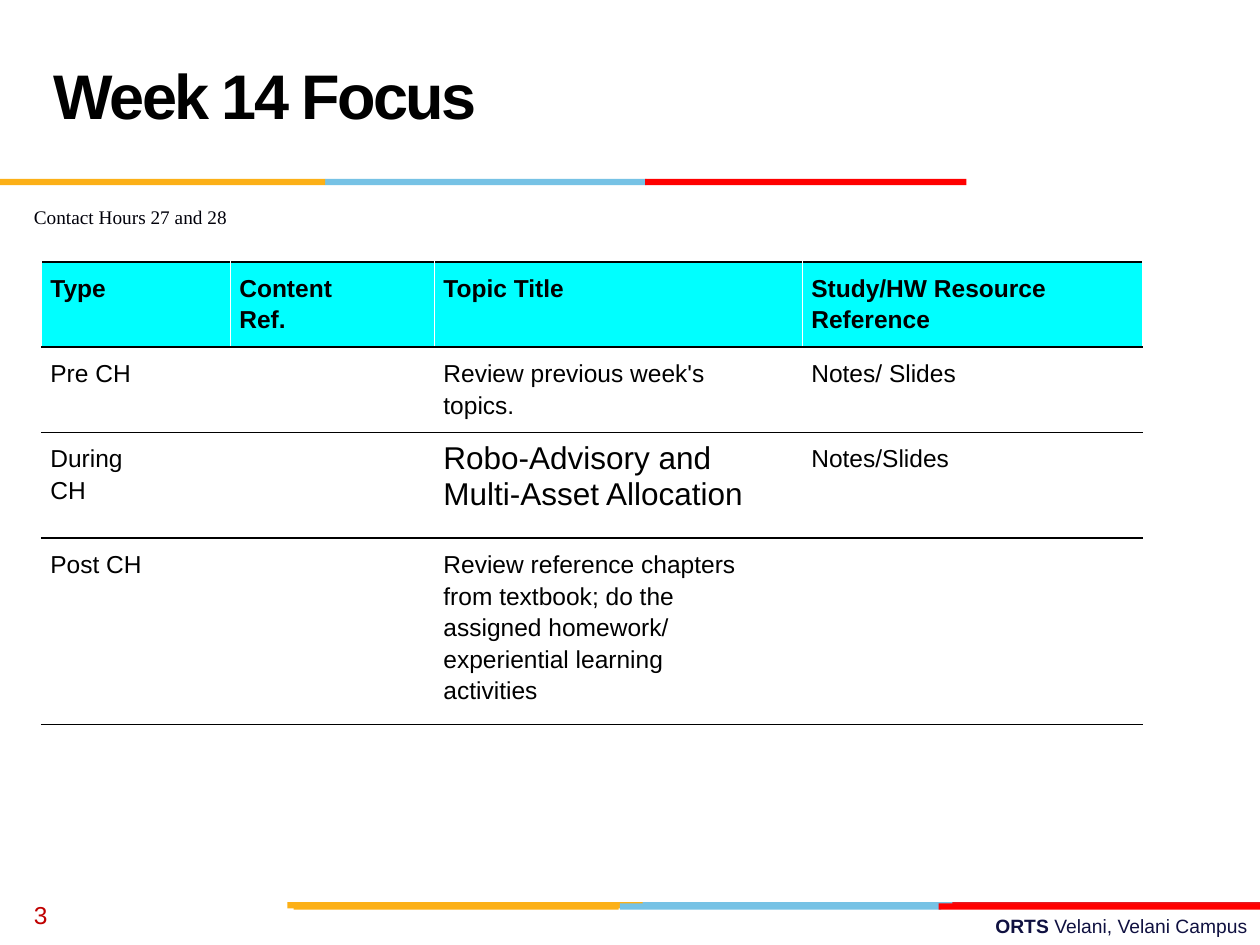
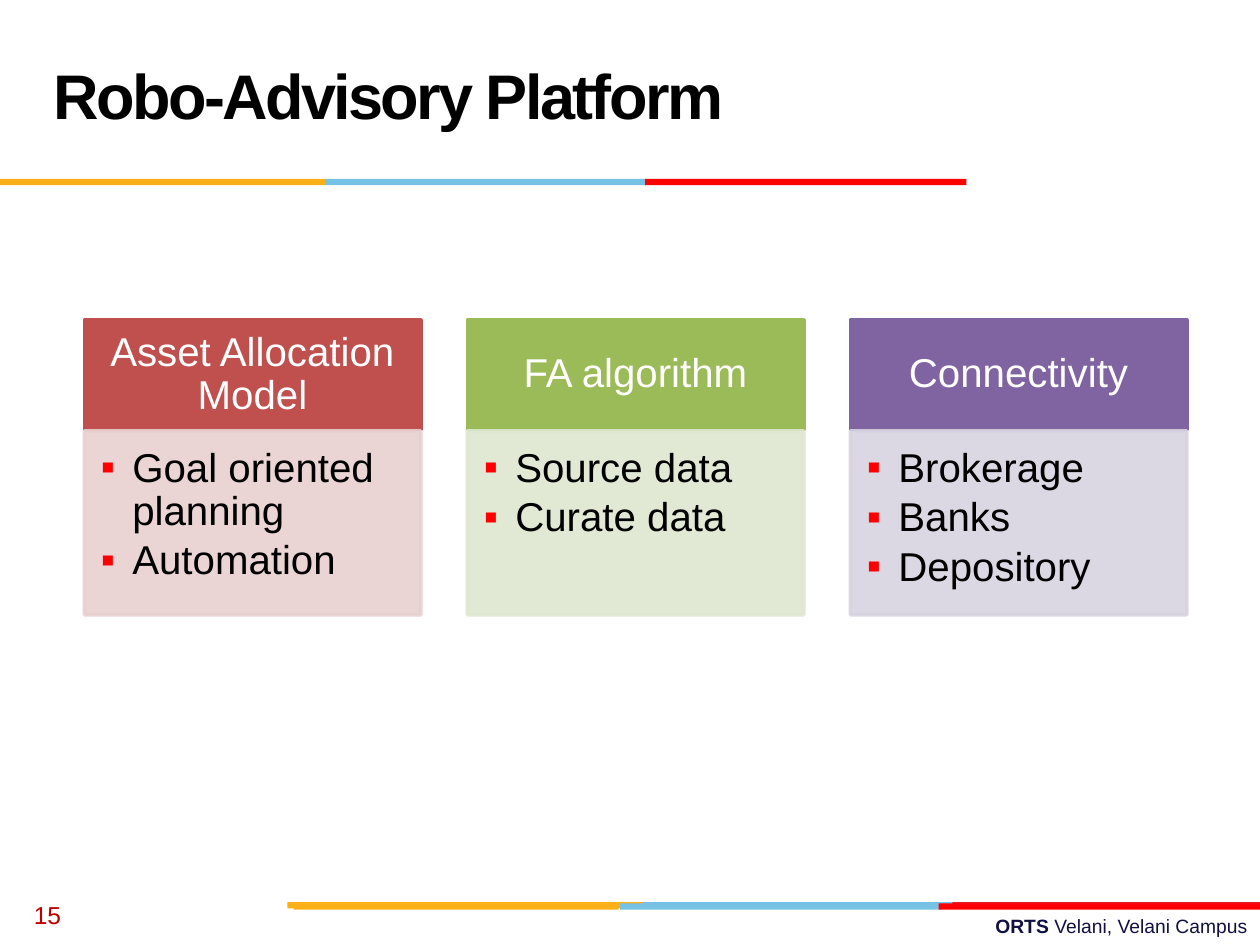
from dataclasses import dataclass, field
from typing import Any

import pptx
import pptx.dml.color
import pptx.enum.shapes
import pptx.enum.text
import pptx.oxml
import pptx.oxml.ns
import pptx.util
from pptx.util import Inches

Color = pptx.dml.color.RGBColor
Align = pptx.enum.text.PP_ALIGN
Anchor = pptx.enum.text.MSO_ANCHOR
Kind = pptx.enum.shapes.MSO_SHAPE
Pt = pptx.util.Pt

BLACK = Color(0x00, 0x00, 0x00)
WHITE = Color(0xFF, 0xFF, 0xFF)
GOLD = Color(0xFC, 0xB0, 0x17)
SKY = Color(0x76, 0xC2, 0xE5)
RED = Color(0xFF, 0x00, 0x00)
CRIMSON = Color(0xE3, 0x1C, 0x24)
BRICK = Color(0xC0, 0x00, 0x00)
NAVY = Color(0x10, 0x11, 0x41)
INK = Color(0x00, 0x00, 0x0A)
CYAN = Color(0x00, 0xFF, 0xFF)
ROSE = Color(0xC0, 0x50, 0x4D)
BLUSH = Color(0xE8, 0xD0, 0xD0)
GREEN = Color(0x9B, 0xBB, 0x59)
MINT = Color(0xDE, 0xE7, 0xD1)
PURPLE = Color(0x80, 0x64, 0xA2)
LILAC = Color(0xD8, 0xD3, 0xE0)


@dataclass
class Bar:
    left: float
    top: float
    width: float
    color: Color


@dataclass
class Style:
    size: float
    color: Color = BLACK
    bold: bool = False
    name: str = "Arial"
    para: dict[str, Any] = field(default_factory=dict)
    frame: dict[str, Any] = field(default_factory=dict)


@dataclass
class Card:
    head: str
    items: list[str]
    dark: Color
    pale: Color


BARS = [
    Bar(5.06, 7.16, 2.55, SKY),
    Bar(7.56, 7.16, 2.44, CRIMSON),
    Bar(2.28, 7.16, 2.82, GOLD),
    Bar(4.92, 7.17, 2.55, SKY),
    Bar(2.33, 7.17, 2.58, GOLD),
    Bar(7.45, 7.17, 2.55, RED),
    Bar(2.58, 1.42, 2.55, SKY),
    Bar(0, 1.42, 2.58, GOLD),
    Bar(5.12, 1.42, 2.55, RED),
]

MIDDLE = {"vertical_anchor": Anchor.MIDDLE}
TITLE = Style(36, bold=True, para={"line_spacing": Pt(36)}, frame=MIDDLE)
NUMBER = Style(14, BRICK, frame=MIDDLE)
FOOTER = Style(11, NAVY, para={"alignment": Align.RIGHT})
HOURS = Style(11, INK, name="Times New Roman")
CELL = Style(14, para={"line_spacing": 1.15})
LABEL = Style(14, bold=True, para={"line_spacing": 1.15})
TOPIC = Style(18)
HEAD = Style(
    23,
    WHITE,
    para={"alignment": Align.CENTER, "line_spacing": 0.9},
    frame={
        "vertical_anchor": Anchor.MIDDLE,
        "margin_left": Inches(0.18),
        "margin_right": Inches(0.18),
        "margin_top": Inches(0.1),
        "margin_bottom": Inches(0.1),
    },
)
ITEM = Style(
    23,
    para={"alignment": Align.LEFT, "line_spacing": 0.9, "space_after": Pt(3.45)},
    frame={
        "vertical_anchor": Anchor.TOP,
        "margin_left": Inches(0.13),
        "margin_right": Inches(0.18),
        "margin_top": Inches(0.13),
        "margin_bottom": Inches(0.2),
    },
)

WIDTHS = [1.5, 1.62, 2.92, 2.7]
HEIGHTS = [0.67, 0.67, 0.84, 1.48]
INSETS = [0.6, 0.6, 0.4, 0.07]
ROWS = [
    ["Type", "Content Ref.", "Topic Title", "Study/HW Resource Reference"],
    ["Pre CH", "", "Review previous week's topics.", "Notes/ Slides"],
    ["During CH", "", "Robo-Advisory and Multi-Asset Allocation", "Notes/Slides"],
    [
        "Post CH",
        "",
        "Review reference chapters from textbook; do the assigned homework/ "
        "experiential learning activities",
        "",
    ],
]
EDGES = {"lnL": WHITE, "lnR": WHITE, "lnT": BLACK, "lnB": BLACK}

CARDS = [
    Card("Asset Allocation Model", ["Goal oriented planning", "Automation"], ROSE, BLUSH),
    Card("FA algorithm", ["Source data", "Curate data"], GREEN, MINT),
    Card("Connectivity", ["Brokerage", "Banks", "Depository"], PURPLE, LILAC),
]


def apply(target: Any, values: dict[str, Any]) -> None:
    for key, value in values.items():
        setattr(target, key, value)


def add_node(parent: Any, body: str) -> None:
    tag, rest = body.split(" ", 1)
    space = pptx.oxml.ns.nsdecls("a")
    parent.append(pptx.oxml.parse_xml(f"<a:{tag} {space} {rest}"))


def add_run(para: Any, text: str, style: Style, bold: bool) -> Any:
    run = para.add_run()
    run.text = text
    apply(run.font, {"size": Pt(style.size), "bold": bold, "name": style.name})
    run.font.color.rgb = style.color
    return run


def write(frame: Any, lines: list[str], style: Style) -> None:
    apply(frame, {"word_wrap": True, **style.frame})
    for place, line in enumerate(lines):
        para = frame.add_paragraph() if place else frame.paragraphs[0]
        apply(para, style.para)
        add_run(para, line, style, style.bold)


def add_text(slide: Any, at: tuple[float, ...], text: str, style: Style) -> Any:
    box = slide.shapes.add_textbox(*map(Inches, at))
    write(box.text_frame, [text], style)
    return box.text_frame


def add_rect(slide: Any, at: tuple[float, ...], color: Color) -> Any:
    rect = slide.shapes.add_shape(Kind.RECTANGLE, *map(Inches, at))
    rect.shadow.inherit = False
    rect.fill.solid()
    rect.fill.fore_color.rgb = color
    rect.line.fill.background()
    return rect


def add_base(deck: Any, title: str, number: str, width: float) -> Any:
    slide = deck.slides.add_slide(deck.slide_layouts[6])
    foot = add_text(slide, (3.58, 7.21, 6.42, 0.29), "", FOOTER)
    for text, bold in (("ORTS ", True), ("Velani, Velani Campus", False)):
        add_run(foot.paragraphs[0], text, FOOTER, bold)
    for bar in BARS:
        add_rect(slide, (bar.left, bar.top, bar.width, 0.05), bar.color)
    head = add_text(slide, (0.33, 0.17, width, 1.25), title, TITLE)
    head.paragraphs[0].runs[0].font._element.set("spc", "-150")
    add_text(slide, (0.17, 7.06, 2.33, 0.4), number, NUMBER)
    return slide


def pick(row: int, col: int) -> Style:
    if row == 0:
        return LABEL
    return TOPIC if (row, col) == (2, 2) else CELL


def fill_cell(cell: Any, row: int, col: int) -> None:
    for edge, color in EDGES.items():
        add_node(
            cell._tc.get_or_add_tcPr(),
            f'{edge} w="12700"><a:solidFill><a:srgbClr val="{color}"/></a:solidFill></a:{edge}>',
        )
    cell.fill.solid()
    cell.fill.fore_color.rgb = WHITE if row else CYAN
    for side in ("left", "top", "bottom"):
        setattr(cell, f"margin_{side}", Inches(0.07))
    cell.margin_right = Inches(INSETS[col])
    if ROWS[row][col]:
        write(cell.text_frame, [ROWS[row][col]], pick(row, col))


def add_plan(slide: Any) -> None:
    at = (0.33, 2.08, sum(WIDTHS), sum(HEIGHTS))
    grid = slide.shapes.add_table(len(ROWS), len(WIDTHS), *map(Inches, at)).table
    apply(grid, {"first_row": False, "horz_banding": False})
    for col, width in zip(grid.columns, WIDTHS):
        col.width = Inches(width)
    for row, height in enumerate(HEIGHTS):
        grid.rows[row].height = Inches(height)
        for col in range(len(WIDTHS)):
            fill_cell(grid.cell(row, col), row, col)


def add_panel(
    slide: Any, at: tuple[float, ...], color: Color, lines: list[str], style: Style
) -> Any:
    panel = add_rect(slide, at, color)
    panel.line.color.rgb = color
    panel.line.width = Pt(2)
    write(panel.text_frame, lines, style)
    return panel


def add_card(slide: Any, card: Card, left: float) -> None:
    add_panel(slide, (left, 2.54, 2.67, 0.87), card.dark, [card.head], HEAD)
    body = add_panel(slide, (left, 3.42, 2.67, 1.46), card.pale, card.items, ITEM)
    for tint in body._element.spPr.iter(pptx.oxml.ns.qn("a:srgbClr")):
        add_node(tint, 'alpha val="90000"/>')
    for para in body.text_frame.paragraphs:
        props = para._p.get_or_add_pPr()
        props.set("marL", str(Inches(0.25)))
        props.set("indent", str(-Inches(0.25)))
        add_node(props, f'buClr ><a:srgbClr val="{RED}"/></a:buClr>')
        add_node(props, 'buFont typeface="Arial"/>')
        add_node(props, 'buChar char="▪"/>')


def main() -> None:
    deck = pptx.Presentation()
    apply(deck, {"slide_width": Inches(10), "slide_height": Inches(7.5)})
    focus = add_base(deck, "Week 14 Focus", "3", 6.92)
    add_text(focus, (0.17, 1.58, 7.08, 0.59), "Contact Hours 27 and 28", HOURS)
    add_plan(focus)
    robo = add_base(deck, "Robo-Advisory Platform", "15", 9.33)
    for place, card in enumerate(CARDS):
        add_card(robo, card, 0.67 + 3.04 * place)
    deck.save("out.pptx")


if __name__ == "__main__":
    main()
